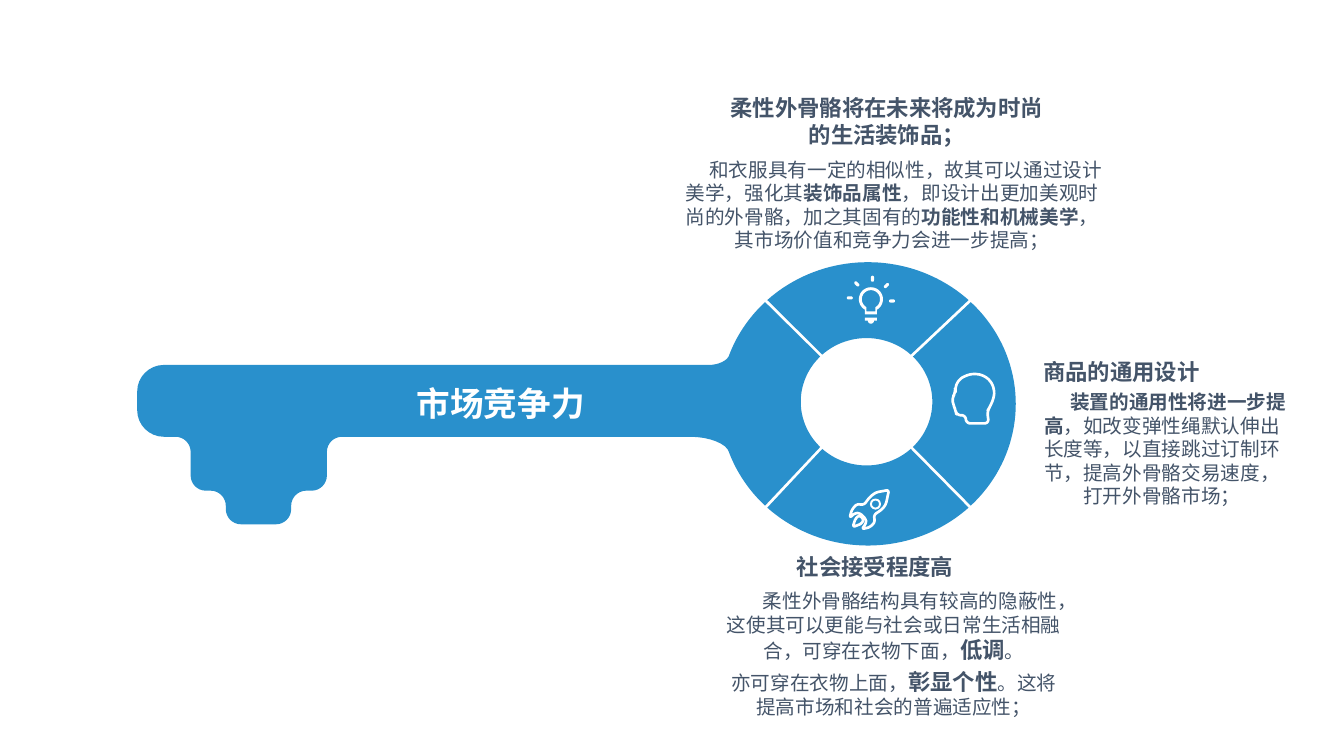
"""Build the key-shaped market competitiveness slide."""
from dataclasses import dataclass
from math import cos, dist, radians, sin
from typing import NamedTuple

from pptx import Presentation
from pptx.dml.color import RGBColor
from pptx.enum.shapes import MSO_SHAPE
from pptx.enum.text import MSO_ANCHOR, MSO_AUTO_SIZE, PP_ALIGN
from pptx.util import Pt

HUES = {"key": "2990CC", "icon": "FFFFFF", "text": "445469"}
FONT = "Arial"
KAPPA = 0.55
Point = tuple[float, float]


class Oval(NamedTuple):
    x: float
    y: float
    rx: float
    ry: float


class Corner(NamedTuple):
    x: float
    y: float
    turn: float = 0


class Part(NamedTuple):
    text: str
    size: float = 14
    bold: bool = False


class Ray(NamedTuple):
    x: float
    y: float
    angle: float


@dataclass
class Note:
    area: tuple[float, float, float, float]
    paras: list[list[Part]]
    indent: float = 0


RIM = Oval(620, 288.5, 105.6, 101.2)
HOLE = Oval(619, 287, 47, 45.5)
SPLIT = 46.5

SHAFT = [
    Corner(520.8, 323.1), Corner(518, 312, 25), Corner(233.5, 312, 10.8),
    Corner(233.5, 350.5, 10.8), Corner(208, 350.5, 10.8),
    Corner(208, 374.5, 10.8), Corner(161.3, 374.5, 10.8),
    Corner(161.3, 350.5, 10.8), Corner(136.2, 350.5, 10.8),
    Corner(136.2, 312, 10.8), Corner(98, 312, 19), Corner(98, 260.7, 19),
    Corner(518.5, 260.7, 12), Corner(520.8, 253.9),
]
HEAD = [
    (680, 284.4), (682.6, 280.4), (682.2, 277.2), (684.7, 271.4),
    (689.8, 268.2), (696.2, 266.8), (702.7, 268.2), (707.8, 272.2),
    (710.4, 278.6), (709.9, 284.4), (707, 290.9), (705.2, 293.8),
    (706.3, 302.4), (690.1, 302.4), (689.8, 296.6), (683.3, 296.6),
    (682.6, 293), (681.1, 289.4),
]
ROCKET = [
    (606.9, 370), (608.4, 364.3), (612, 360), (617, 360.7), (621.4, 355),
    (625.7, 351.7), (635, 350), (632.9, 360), (630.4, 363.6),
    (624.2, 367.9), (625, 373), (621.4, 376.6), (615.6, 378),
    (618.8, 373.7), (618.5, 370.8), (614.2, 366.5), (610.6, 366.5),
]
FLAME = [(609.1, 376.6), (611, 370.5), (613.8, 368), (617, 371), (615.6, 374)]
RAYS = [Ray(612, 202.8, 45), Ray(607, 212.8, 0), Ray(637.2, 215, 0),
        Ray(633.2, 204, -45), Ray(623.2, 199.1, 90)]
NOTES = [
    Note((562, 395, 126, 19.5), [[Part("社会接受程度高", 16, True)]]),
    Note((519, 421, 239, 93.5), [
        [Part("柔性外骨骼结构具有较高的隐蔽性，这使其可以更能与社会或日常生活相融合，可穿在衣物下面，"),
         Part("低调", 16, True), Part("。")],
        [Part("亦可穿在衣物上面，"), Part("彰显个性", 16, True),
         Part("。这将提高市场和社会的普遍适应性；")]], 23.3),
    Note((730, 255.5, 142, 19.5), [[Part("商品的通用设计", 16, True)]]),
    Note((740, 278.5, 180, 85), [
        [Part("装置的通用性将进一步提高", 14, True),
         Part("，如改变弹性绳默认伸出长度等，以直接跳过订制环节，提高外骨骼交易速度，打开外骨骼市场；")]], 23.3),
    Note((514, 67, 239, 39), [[Part("柔性外骨骼将在未来将成为时尚的生活装饰品；", 16, True)]]),
    Note((484, 112.5, 306.5, 67.5), [
        [Part("和衣服具有一定的相似性，故其可以通过设计美学，强化其"),
         Part("装饰品属性", 14, True),
         Part("，即设计出更加美观时尚的外骨骼，加之其固有的"),
         Part("功能性和机械美学", 14, True),
         Part("，其市场价值和竞争力会进一步提高；")]], 19.5),
]


def arc(oval: Oval, start: float, end: float) -> list[Point]:
    """Return points along an oval between two angles in degrees."""
    steps = 40
    angles = [radians(start + (end - start) * i / steps) for i in range(steps + 1)]
    return [(oval.x + oval.rx * cos(a), oval.y + oval.ry * sin(a)) for a in angles]


def blend(a: Point, b: Point, t: float) -> Point:
    """Return the point at share t of the way from a to b."""
    return a[0] + (b[0] - a[0]) * t, a[1] + (b[1] - a[1]) * t


def soften(nodes: list[Corner]) -> list[Point]:
    """Return an outline whose corners are rounded by their turn."""
    out: list[Point] = []
    for i, node in enumerate(nodes):
        mid = (node.x, node.y)
        if not node.turn:
            out.append(mid)
            continue
        sides = [nodes[i - 1][:2], nodes[(i + 1) % len(nodes)][:2]]
        a, b = [blend(mid, s, min(1, node.turn / dist(mid, s))) for s in sides]
        c, d = blend(a, mid, KAPPA), blend(b, mid, KAPPA)
        for t in [n / 8 for n in range(9)]:
            e, f, g = blend(a, c, t), blend(c, d, t), blend(d, b, t)
            out.append(blend(blend(e, f, t), blend(f, g, t), t))
    return out


def paint(shape, fill: str = "", line: str = "", width: float = 1.9) -> None:
    """Set the fill and line of a shape and drop its shadow."""
    shape.shadow.inherit = False
    for part, hue in ((shape.fill, fill), (shape.line.fill, line)):
        if hue:
            part.solid()
            part.fore_color.rgb = RGBColor.from_string(HUES[hue])
        else:
            part.background()
    if line:
        shape.line.width = Pt(width)


def trace(shapes, *loops: list[Point]):
    """Draw closed loops as one freeform."""
    first, *rest = [[(Pt(x), Pt(y)) for x, y in loop] for loop in loops]
    pen = shapes.build_freeform(*first[0], scale=1.0)
    pen.add_line_segments(first[1:], close=True)
    for loop in rest:
        pen.move_to(*loop[0])
        pen.add_line_segments(loop[1:], close=True)
    return pen.convert_to_shape()


def wedge(shapes, start: float, end: float, shaft: list[Point]) -> None:
    """Draw one ring part, with the shaft set into its rim if given."""
    low, high = start + 0.6, end - 0.6
    rim = arc(RIM, low, high)
    if shaft:
        rim = arc(RIM, low, 160) + shaft + arc(RIM, 200, high)
    paint(trace(shapes, rim + arc(HOLE, end - 1.3, start + 1.3)), "key")


def bulb(shapes) -> None:
    """Draw the light bulb with its rays and base."""
    for ray in RAYS:
        dash = shapes.add_shape(MSO_SHAPE.ROUNDED_RECTANGLE, Pt(ray.x - 2.15),
                                Pt(ray.y - 1.1), Pt(4.3), Pt(2.2))
        dash.adjustments[0] = 0.5
        dash.rotation = ray.angle
        paint(dash, "icon")
    loops = [arc(Oval(622.1, 213.8, r, r), 120, 420)
             + [(622.1 + r / 2, foot), (622.1 - r / 2, foot)]
             for r, foot in ((8.6, 224.6), (6.5, 222.5))]
    paint(trace(shapes, *loops), "icon")
    base = [(617.8, 229), (617.8, 226.8), (626.4, 226.8), (626.4, 229)]
    paint(trace(shapes, base + arc(Oval(622.1, 229, 2.2, 2.2), 0, 180)), "icon")


def write(shape, note: Note, hue: str) -> None:
    """Place a text shape and fill it with centred runs."""
    shape.left, shape.top, shape.width, shape.height = map(Pt, note.area)
    frame = shape.text_frame
    frame.word_wrap = True
    frame.auto_size = MSO_AUTO_SIZE.NONE
    frame.vertical_anchor = MSO_ANCHOR.TOP
    frame.margin_left = frame.margin_right = Pt(0)
    frame.margin_top = frame.margin_bottom = Pt(0)
    for i, parts in enumerate(note.paras):
        para = frame.add_paragraph() if i else frame.paragraphs[0]
        para.alignment = PP_ALIGN.CENTER
        para.line_spacing = 1.0
        para.space_before = Pt(3.5 if i else 0)
        if note.indent and not i:
            para._p.get_or_add_pPr().set("indent", str(Pt(note.indent)))
        for part in parts:
            run = para.add_run()
            run.text = part.text
            run.font.name, run.font.size = FONT, Pt(part.size)
            run.font.bold = part.bold
            run.font.color.rgb = RGBColor.from_string(HUES[hue])


def main() -> None:
    """Draw the slide and save it."""
    deck = Presentation()
    deck.slide_width, deck.slide_height = Pt(960), Pt(540)
    slide = deck.slides.add_slide(deck.slide_layouts[5])
    shapes = slide.shapes
    for start, end, shaft in ((180 + SPLIT, 360 - SPLIT, []),
                              (180 - SPLIT, 180 + SPLIT, soften(SHAFT)),
                              (SPLIT, 180 - SPLIT, []), (-SPLIT, SPLIT, [])):
        wedge(shapes, start, end, shaft)
    bulb(shapes)
    for nodes, turn in ((ROCKET, 2), (FLAME, 2), (HEAD, 3)):
        loop = soften([Corner(x, y, turn) for x, y in nodes])
        paint(trace(shapes, loop), line="icon")
    pane = shapes.add_shape(MSO_SHAPE.OVAL, Pt(622.1), Pt(356.8), Pt(6.5), Pt(6.5))
    paint(pane, line="icon", width=1.4)
    for note in NOTES:
        write(shapes.add_textbox(*map(Pt, note.area)), note, "text")
    title = shapes.title
    title.element.getparent().append(title.element)
    write(title, Note((239, 273.5, 237.5, 29), [[Part("市场竞争力", 24, True)]]), "icon")
    deck.save("out.pptx")


if __name__ == "__main__":
    main()
